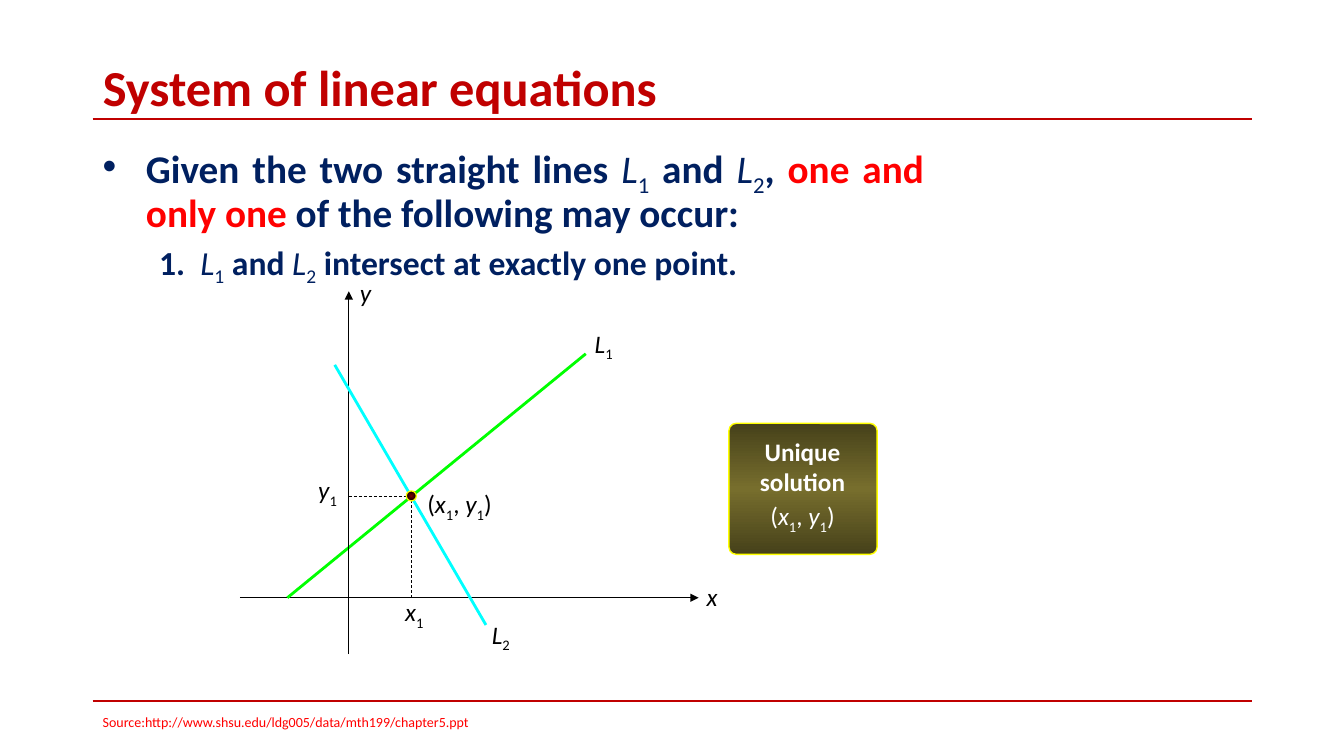
from lxml import etree
from pptx import Presentation
from pptx.dml.color import RGBColor
from pptx.enum.dml import MSO_LINE
from pptx.enum.shapes import MSO_CONNECTOR, MSO_SHAPE
from pptx.enum.text import MSO_ANCHOR, PP_ALIGN as Align
from pptx.oxml.ns import qn
from pptx.util import Inches, Pt

COLORS = {
    "title": "C00000", "body": "002060", "accent": "FF0000",
    "black": "000000", "white": "FFFFFF", "yellow": "FFFF00",
    "L1": "00FF00", "L2": "00FFFF",
    "olive": "46411A", "gold": "776E2D", "maroon": "800000",
}

TITLE = [("System of linear equations", "b")]
L1 = [("L", "i"), ("1", "s")]
L2 = [("L", "i"), ("2", "s")]
X1 = [("x", "i"), ("1", "s")]
Y1 = [("y", "i"), ("1", "s")]
POINT = [("(", ""), *X1, (", ", ""), *Y1, (")", "")]
STATEMENT = [("Given the two straight lines ", "b"), *L1, (" and ", "b"), *L2,
             (", ", "b"), ("one and only one ", "ba"),
             ("of the following may occur:", "b")]
CASE = [("1.  ", "b"), *L1, (" and ", "b"), *L2,
        (" intersect at exactly one point.", "b")]
SOURCE = [("Source:http://www.shsu.edu/ldg005/data/mth199/chapter5.ppt", "")]

RULE_LEFT, RULE_RIGHT = 0.92, 12.42
RULES_Y = (1.18, 6.95)
ORIGIN_X, ORIGIN_Y = 3.46, 5.93
CROSS_X, CROSS_Y = 4.08, 4.92
DOT = 0.1

GRAPH_LINES = [
    ((2.38, ORIGIN_Y), (6.93, ORIGIN_Y), "black", 0.5, "arrow"),
    ((2.85, ORIGIN_Y), (5.81, 3.51), "L1", 2, ""),
    ((ORIGIN_X, 6.49), (ORIGIN_X, 2.89), "black", 0.5, "arrow"),
    ((3.32, 3.62), (4.82, 6.2), "L2", 2, ""),
    ((CROSS_X, ORIGIN_Y), (CROSS_X, CROSS_Y), "black", 0.5, "dash"),
    ((ORIGIN_X, CROSS_Y), (CROSS_X, CROSS_Y), "black", 0.5, "dash"),
]

GRAPH_LABELS = [
    ([("y", "i")], 3.47, 2.7, 0.3, Align.LEFT),
    ([("x", "i")], 6.91, 5.72, 0.38, Align.LEFT),
    (L1, 5.8, 3.21, 0.82, Align.LEFT),
    (L2, 4.78, 6.09, 0.82, Align.LEFT),
    (POINT, 4.14, 4.8, 1.1, Align.LEFT),
    (X1, 3.87, 5.87, 0.48, Align.CENTER),
    (Y1, 2.96, 4.66, 0.48, Align.RIGHT),
]


def rgb(name):
    return RGBColor.from_string(COLORS[name])


def write(paragraph, runs, size=18, color="black", align=Align.LEFT,
          spacing=None, before=None, indent=None, bullet=None):
    props = paragraph._p.get_or_add_pPr()
    if indent:
        margin, first = indent
        props.set("marL", str(Inches(margin)))
        props.set("indent", str(Inches(first)))
    if bullet:
        etree.SubElement(props, qn("a:buFont")).set("typeface", "Arial")
        etree.SubElement(props, qn("a:buChar")).set("char", bullet)
    paragraph.alignment = align
    if spacing:
        paragraph.line_spacing = spacing
    if before:
        paragraph.space_before = Pt(before)
    for words, style in runs:
        run = paragraph.add_run()
        run.text = words
        font = run.font
        font.name, font.size = "Calibri", Pt(size)
        font.bold, font.italic = "b" in style, "i" in style
        font.color.rgb = rgb("accent" if "a" in style else color)
        if "s" in style:
            font._element.set("baseline", "-25000")


def text_frame(slide, left, top, width, height):
    frame = slide.shapes.add_textbox(*map(Inches, (left, top, width, height))).text_frame
    frame.word_wrap = True
    return frame


def draw_line(slide, start, end, color, width, style=""):
    line = slide.shapes.add_connector(
        MSO_CONNECTOR.STRAIGHT, *map(Inches, (*start, *end)))
    line.line.color.rgb = rgb(color)
    line.line.width = Pt(width)
    if style == "dash":
        line.line.dash_style = MSO_LINE.DASH
    if style == "arrow":
        etree.SubElement(line.line._get_or_add_ln(), qn("a:tailEnd")).set("type", "triangle")
    etree.SubElement(line._element.spPr, qn("a:effectLst"))


def gradient_shape(slide, kind, box, stops, line_width, radial=False):
    shape = slide.shapes.add_shape(kind, *map(Inches, box))
    shape.shadow.inherit = False
    shape.line.color.rgb = rgb("yellow")
    shape.line.width = Pt(line_width)
    shape.fill.gradient()
    grad = shape._element.spPr.find(qn("a:gradFill"))
    for child in list(grad):
        grad.remove(child)
    stop_list = etree.SubElement(grad, qn("a:gsLst"))
    for position, color in stops:
        stop = etree.SubElement(stop_list, qn("a:gs"), pos=str(position * 1000))
        etree.SubElement(stop, qn("a:srgbClr"), val=COLORS[color])
    if radial:
        center = etree.SubElement(grad, qn("a:path"), path="shape")
        etree.SubElement(center, qn("a:fillToRect"),
                         {side: "50000" for side in "ltrb"})
    else:
        etree.SubElement(grad, qn("a:lin"), ang="5400000", scaled="0")
    return shape


def main():
    deck = Presentation()
    deck.slide_width, deck.slide_height = Inches(13.33), Inches(7.5)
    slide = deck.slides.add_slide(deck.slide_layouts[5])

    title = slide.shapes.title
    title.left, title.top = Inches(RULE_LEFT), Inches(0.61)
    title.width, title.height = Inches(RULE_RIGHT - RULE_LEFT), Inches(0.58)
    title.text_frame.vertical_anchor = MSO_ANCHOR.MIDDLE
    write(title.text_frame.paragraphs[0], TITLE, size=36, color="title", spacing=0.9)

    for y in RULES_Y:
        draw_line(slide, (RULE_LEFT, y), (RULE_RIGHT, y), "title", 1.5)

    solution_box = gradient_shape(
        slide, MSO_SHAPE.ROUNDED_RECTANGLE, (7.23, 4.2, 1.47, 1.3),
        [(0, "olive"), (50, "gold"), (100, "olive")], 1)
    solution_box.adjustments[0] = 0.056

    body = text_frame(slide, RULE_LEFT, 1.39, 8.34, 5.37)
    write(body.paragraphs[0], STATEMENT, size=28, color="body", align=Align.JUSTIFY,
          spacing=0.9, indent=(0.43, -0.43), bullet="•")
    write(body.add_paragraph(), CASE, size=24, color="body", align=Align.JUSTIFY,
          spacing=0.9, before=5, indent=(0.87, -0.31))

    for graph_line in GRAPH_LINES:
        draw_line(slide, *graph_line)
    gradient_shape(
        slide, MSO_SHAPE.FLOWCHART_CONNECTOR,
        (CROSS_X - DOT / 2, CROSS_Y - DOT / 2, DOT, DOT),
        [(0, "maroon"), (100, "black")], 0.9, radial=True)
    for label, left, top, width, align in GRAPH_LABELS:
        write(text_frame(slide, left, top, width, 0.4).paragraphs[0], label, align=align)

    solution = text_frame(slide, 7.13, 4.28, 1.66, 1.06)
    write(solution.paragraphs[0], [("Unique solution", "b")],
          color="white", align=Align.CENTER)
    write(solution.add_paragraph(), POINT, color="white", align=Align.CENTER,
          spacing=0.6, before=9)

    write(text_frame(slide, RULE_LEFT, 7.03, 7.61, 0.27).paragraphs[0], SOURCE,
          size=10, color="accent")
    deck.save("out.pptx")


if __name__ == "__main__":
    main()
